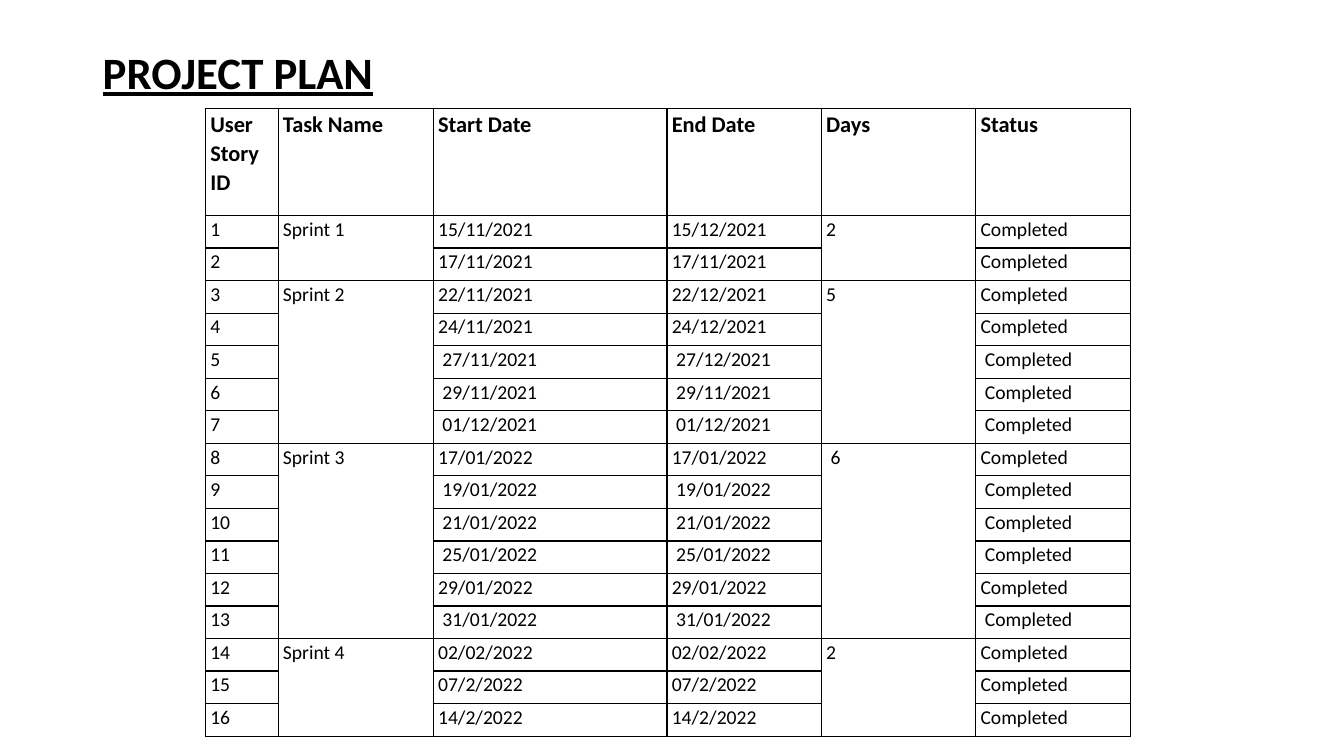
from lxml import etree
from pptx import Presentation
from pptx.dml.color import RGBColor
from pptx.enum.text import MSO_ANCHOR
from pptx.oxml.ns import qn
from pptx.util import Cm, Pt

MIDDLE = MSO_ANCHOR.MIDDLE
COLORS = {"ink": "000000"}
TITLE = {"size": Pt(32), "bold": True, "underline": True}
HEADER = {"size": Pt(16), "bold": True}
BODY = {"size": Pt(14), "bold": False}
MARGIN, INDENT = 0.12, 0.11

# Plan: sprint, days, days indented, then (start, end, indented) per story
HEADINGS = ["User Story ID", "Task Name", "Start Date", "End Date", "Days", "Status"]
SPRINTS = [
    ("Sprint 1", "2", False, [
        ("15/11/2021", "15/12/2021", False),
        ("17/11/2021", "17/11/2021", False),
    ]),
    ("Sprint 2", "5", False, [
        ("22/11/2021", "22/12/2021", False),
        ("24/11/2021", "24/12/2021", False),
        ("27/11/2021", "27/12/2021", True),
        ("29/11/2021", "29/11/2021", True),
        ("01/12/2021", "01/12/2021", True),
    ]),
    ("Sprint 3", "6", True, [
        ("17/01/2022", "17/01/2022", False),
        ("19/01/2022", "19/01/2022", True),
        ("21/01/2022", "21/01/2022", True),
        ("25/01/2022", "25/01/2022", True),
        ("29/01/2022", "29/01/2022", False),
        ("31/01/2022", "31/01/2022", True),
    ]),
    ("Sprint 4", "2", False, [
        ("02/02/2022", "02/02/2022", False),
        ("07/2/2022", "07/2/2022", False),
        ("14/2/2022", "14/2/2022", False),
    ]),
]
COLUMN_WIDTHS = [1.83, 3.91, 5.89, 3.89, 3.89, 3.89]
HEADER_HEIGHT, ROW_HEIGHT = 2.69, 0.82


def write(frame, text, style, line_spacing, space_after):
    para = frame.paragraphs[0]
    para.line_spacing = line_spacing
    para.space_after = Pt(space_after)
    span = para.add_run()
    span.text = text
    span.font.name = "Calibri"
    span.font.color.rgb = RGBColor.from_string(COLORS["ink"])
    for name, value in style.items():
        setattr(span.font, name, value)


def fill_cell(cell, text, style, indented=False):
    cell.margin_left = Cm(MARGIN + INDENT * indented)
    write(cell.text_frame, text, style, 1.06, 8)


deck = Presentation()
deck.slide_width, deck.slide_height = Cm(33.87), Cm(19.05)
page = deck.slides.add_slide(deck.slide_layouts[6])

# Title
box = page.shapes.add_textbox(Cm(2.34), Cm(1.02), Cm(8.84), Cm(1.73))
box.text_frame.word_wrap = True
box.text_frame.vertical_anchor = MIDDLE
write(box.text_frame, "PROJECT PLAN", TITLE, 0.9, 0)

# Empty table grid
story_count = sum(len(stories) for *_, stories in SPRINTS)
table = page.shapes.add_table(
    story_count + 1, len(HEADINGS), Cm(5.18), Cm(2.74),
    Cm(sum(COLUMN_WIDTHS)), Cm(HEADER_HEIGHT + ROW_HEIGHT * story_count)).table
table.first_row = table.horz_banding = False
for column, width in zip(table.columns, COLUMN_WIDTHS):
    column.width = Cm(width)
for number, row in enumerate(table.rows):
    row.height = Cm(ROW_HEIGHT if number else HEADER_HEIGHT)

# Cell margins, fills and borders
for cell in table.iter_cells():
    cell.margin_left = cell.margin_right = Cm(MARGIN)
    cell.margin_top, cell.margin_bottom = Cm(0.02), 0
    cell.fill.background()
    properties = cell._tc.get_or_add_tcPr()
    for position, side in enumerate(["a:lnL", "a:lnR", "a:lnT", "a:lnB"]):
        border = etree.Element(qn(side), w=str(Pt(1)))
        solid = etree.SubElement(border, qn("a:solidFill"))
        etree.SubElement(solid, qn("a:srgbClr"), val=COLORS["ink"])
        properties.insert(position, border)

# Header row
for column, heading in enumerate(HEADINGS):
    fill_cell(table.cell(0, column), heading, HEADER)

# Sprints and their stories
story = 1
for sprint, days, days_indented, stories in SPRINTS:
    last = story + len(stories) - 1
    for column, text, indented in [(1, sprint, False), (4, days, days_indented)]:
        table.cell(story, column).merge(table.cell(last, column))
        fill_cell(table.cell(story, column), text, BODY, indented)
    for start, end, indented in stories:
        fill_cell(table.cell(story, 0), str(story), BODY)
        for column, text in [(2, start), (3, end), (5, "Completed")]:
            fill_cell(table.cell(story, column), text, BODY, indented)
        story += 1

deck.save("out.pptx")
